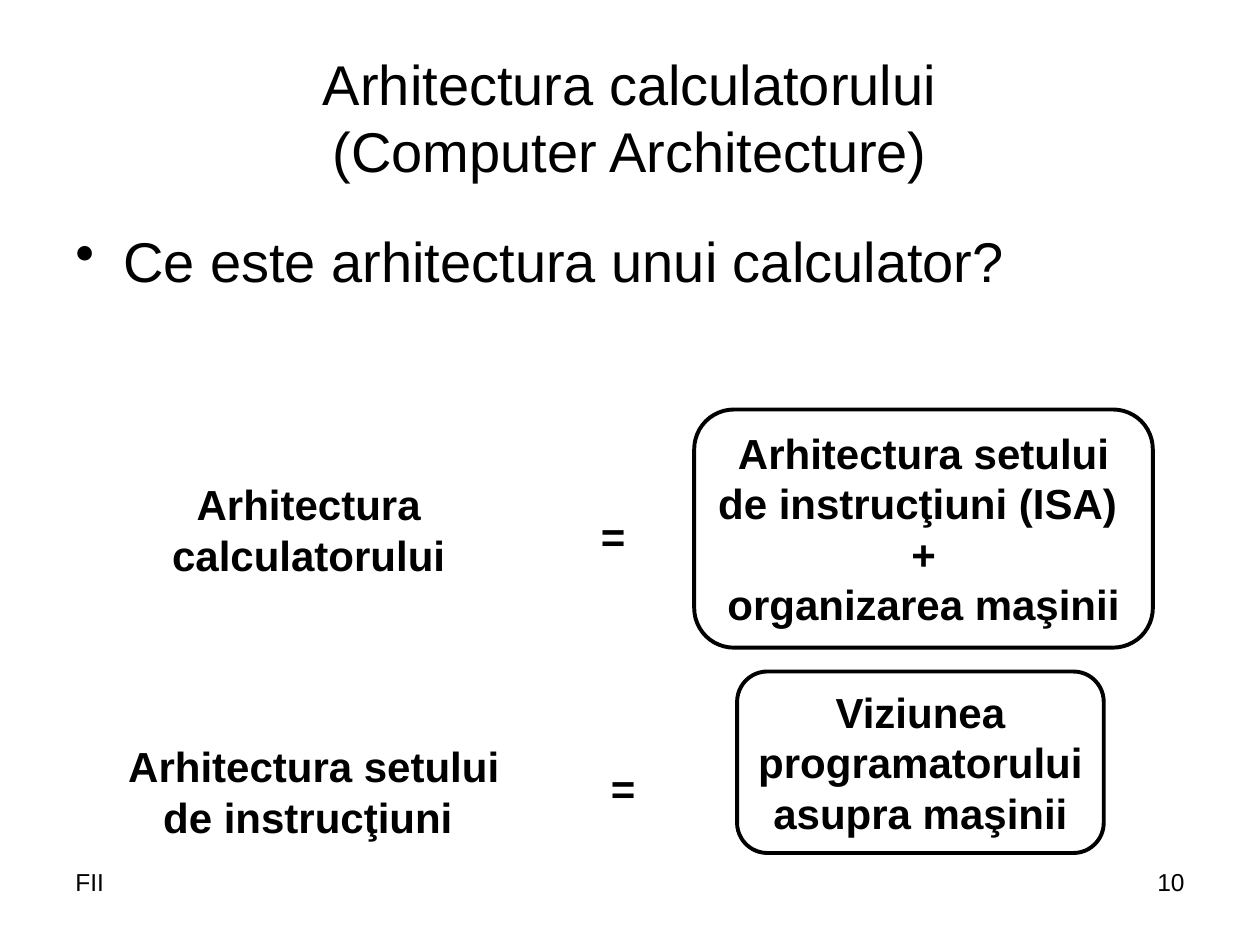
from lxml import etree
from pptx import Presentation
from pptx.dml.color import RGBColor
from pptx.enum.shapes import MSO_SHAPE
from pptx.enum.text import MSO_ANCHOR, MSO_AUTO_SIZE, PP_ALIGN
from pptx.oxml.ns import qn
from pptx.util import Inches, Pt

COLORS = {"text": "000000", "outline": "000000", "background": "FFFFFF"}
FONT = "Arial"


def color(name):
    return RGBColor.from_string(COLORS[name])


def add_bullet(paragraph):
    properties = paragraph._p.get_or_add_pPr()
    properties.set("marL", str(Inches(0.38)))
    properties.set("indent", str(-Inches(0.38)))
    etree.SubElement(properties, qn("a:buChar")).set("char", "•")


def set_text(shape, lines, size, align, bold=False, bullet=False):
    """Fill a shape with one paragraph per line; \\v breaks a line."""
    frame = shape.text_frame
    frame.text = "\n".join(lines)
    for paragraph in frame.paragraphs:
        if bullet:
            add_bullet(paragraph)
        paragraph.alignment = align
        paragraph.font.name = FONT
        paragraph.font.size = Pt(size)
        paragraph.font.bold = bold
        paragraph.font.color.rgb = color("text")


def add_text(slide, box, lines, size, align=PP_ALIGN.LEFT,
             anchor=MSO_ANCHOR.TOP, bullet=False):
    shape = slide.shapes.add_textbox(*map(Inches, box))
    shape.text_frame.word_wrap = True
    shape.text_frame.vertical_anchor = anchor
    set_text(shape, lines, size, align, bullet=bullet)


def add_term(slide, box, lines, framed=False):
    """Add one bold part of an equation, with a rounded frame if asked."""
    area = map(Inches, box)
    if framed:
        shape = slide.shapes.add_shape(MSO_SHAPE.ROUNDED_RECTANGLE, *area)
        shape.shadow.inherit = False
        shape.fill.background()
        shape.line.color.rgb = color("outline")
        shape.line.width = Pt(2.25)
    else:
        shape = slide.shapes.add_textbox(*area)
    frame = shape.text_frame
    frame.word_wrap = False
    frame.auto_size = MSO_AUTO_SIZE.SHAPE_TO_FIT_TEXT
    frame.vertical_anchor = MSO_ANCHOR.TOP
    # Narrow side margins keep each line whole
    frame.margin_left = frame.margin_right = Inches(0.05)
    set_text(shape, lines, 24, PP_ALIGN.CENTER, bold=True)


def main():
    presentation = Presentation()
    presentation.slide_width = Inches(10)
    presentation.slide_height = Inches(7.5)
    slide = presentation.slides.add_slide(presentation.slide_layouts[6])
    slide.background.fill.solid()
    slide.background.fill.fore_color.rgb = color("background")

    # Title and question
    add_text(slide, (0.5, 0.3, 9, 1.25),
             ["Arhitectura calculatorului\v(Computer Architecture)"],
             32, PP_ALIGN.CENTER, MSO_ANCHOR.MIDDLE)
    add_text(slide, (0.5, 1.75, 9, 4.95),
             ["Ce este arhitectura unui calculator?"], 32, bullet=True)

    # Computer architecture = instruction set + organization
    add_term(slide, (1.27, 3.75, 2.36, 0.9), ["Arhitectura", "calculatorului"])
    add_term(slide, (4.67, 4, 0.39, 0.5), ["="])
    add_term(slide, (5.51, 3.25, 3.64, 1.89),
             ["Arhitectura setului", "de instrucţiuni (ISA) \v+", "organizarea maşinii"],
             framed=True)

    # Instruction set architecture = the programmer's view
    add_term(slide, (0.92, 5.83, 3.14, 0.9), ["Arhitectura setului", "de instrucţiuni "])
    add_term(slide, (4.75, 6, 0.39, 0.5), ["="])
    add_term(slide, (5.85, 5.33, 2.91, 1.44),
             ["Viziunea", "programatorului", "asupra maşinii"], framed=True)

    # Footer
    add_text(slide, (0.5, 6.83, 2.33, 0.52), ["FII"], 14)
    add_text(slide, (7.17, 6.83, 2.33, 0.52), ["10"], 14, PP_ALIGN.RIGHT)

    presentation.save("out.pptx")


if __name__ == "__main__":
    main()
